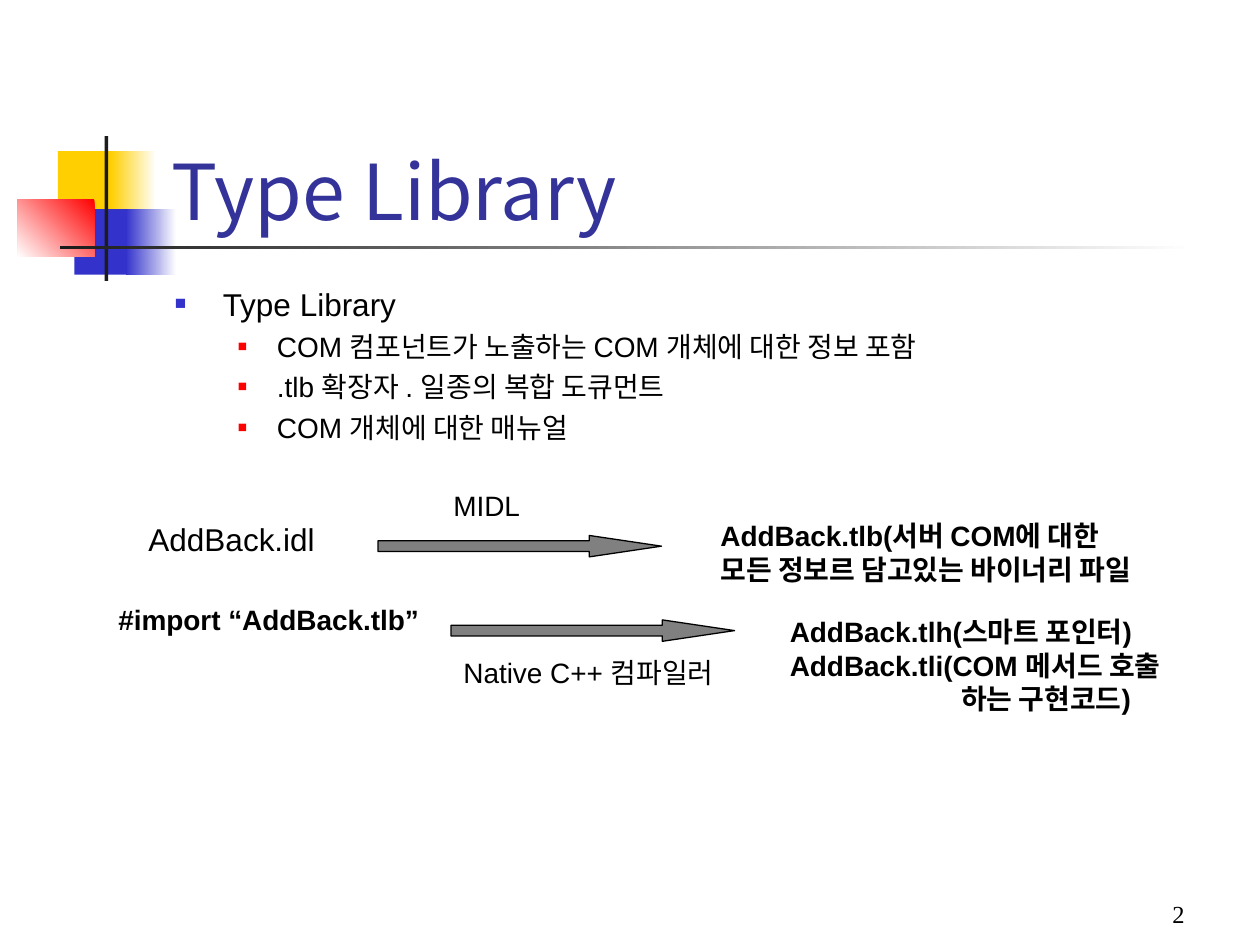
from lxml.etree import SubElement
from pptx import Presentation
from pptx.dml.color import RGBColor
from pptx.enum.shapes import MSO_SHAPE as Shape
from pptx.enum.text import MSO_ANCHOR as Anchor, MSO_AUTO_SIZE as AutoSize, PP_ALIGN as Align
from pptx.oxml.ns import qn
from pptx.util import Inches, Pt

COLORS = {
    "white": "FFFFFF", "yellow": "FFCF01", "blue": "3333CC", "red": "FF0000",
    "dark": "1C1C1C", "title": "333399", "black": "000000", "gray": "808080",
}
HANGUL = "Noto Sans CJK KR"

# Content: decoration as (box, start colour, end colour, clockwise angle)
DECORATION = [
    ((0.46, 1.2, 0.48, 0.52), "yellow", None, 0),
    ((0.88, 1.2, 0.36, 0.52), "white", "yellow", 180),
    ((0.59, 1.66, 0.46, 0.52), "blue", None, 0),
    ((1, 1.66, 0.4, 0.52), "white", "blue", 180),
    ((0.14, 1.58, 0.61, 0.46), "red", "white", 135),
    ((0.83, 1.08, 0.03, 1.15), "dark", None, 0),
    ((0.48, 1.95, 9, 0.03), "white", "dark", 180),
]
TITLE = ("Type Library", (1.26, 0.67, 8.52, 1.25))
BULLET_BOX = (1.29, 2.21, 7.46, 1.54)
BULLETS = [
    (0, "Type Library"),
    (1, "COM 컴포넌트가 노출하는 COM 개체에 대한 정보 포함"),
    (1, ".tlb 확장자 . 일종의 복합 도큐먼트"),
    (1, "COM 개체에 대한 매뉴얼"),
]
LEVELS = [
    {"left": 0.38, "hang": 0.38, "size": 18, "before": 0, "color": "blue", "percent": 60},
    {"left": 0.81, "hang": 0.31, "size": 16, "before": 4, "color": "red", "percent": 55},
]
# Labels as (box, lines, font format, wraps)
LABELS = [
    ((1.08, 4.08, 1.52, 0.4), ["AddBack.idl"], {"size": 18}, False),
    ((3.5, 3.83, 0.73, 0.37), ["MIDL"], {}, False),
    ((5.62, 4.07, 3.5, 0.64),
     ["AddBack.tlb(서버 COM에 대한", "모든 정보르 담고있는 바이너리 파일"], {"bold": True}, False),
    ((0.84, 4.73, 2.59, 0.37), ["#import “AddBack.tlb”"], {"bold": True}, False),
    ((3.58, 5.15, 2.27, 0.37), ["Native C++ 컴파일러"], {}, False),
    ((6.17, 4.83, 3.58, 0.9),
     ["AddBack.tlh(스마트 포인터)", "AddBack.tli(COM 메서드 호출", "하는 구현코드)"],
     {"bold": True}, True),
]
CONTINUATION_INDENT = 1.36
ARROWS = [(3, 4.25), (3.58, 4.92)]
ARROW_SIZE = (2.25, 0.17)
PAGE_NUMBER = ("2", (7.42, 6.92, 2.08, 0.5))


def rgb(name):
    return RGBColor.from_string(COLORS[name])


def inches(values):
    return [Inches(value) for value in values]


def write(paragraph, text, color="black", **font_format):
    run = paragraph.add_run()
    run.text = text
    for name, value in {"name": "Arial", "size": 16, **font_format}.items():
        setattr(run.font, name, Pt(value) if name == "size" else value)
    run.font.color.rgb = rgb(color)
    SubElement(run._r.get_or_add_rPr(), qn("a:ea"), typeface=HANGUL)


def set_indent(paragraph, left, first=0):
    properties = paragraph._p.get_or_add_pPr()
    properties.set("marL", str(Inches(left)))
    properties.set("indent", str(Inches(first)))
    return properties


def add_bullet(paragraph, level):
    properties = set_indent(paragraph, level["left"], -level["hang"])
    color = SubElement(properties, qn("a:buClr"))
    SubElement(color, qn("a:srgbClr"), val=COLORS[level["color"]])
    SubElement(properties, qn("a:buSzPct"), val=str(level["percent"] * 1000))
    SubElement(properties, qn("a:buFont"), typeface="Arial")
    SubElement(properties, qn("a:buChar"), char="■")
    paragraph.space_before = Pt(level["before"])


def add_text(slide, box, count=1, wrap=True):
    frame = slide.shapes.add_textbox(*inches(box)).text_frame
    frame.word_wrap = wrap
    for _ in range(count - 1):
        frame.add_paragraph()
    return frame


def add_shape(slide, kind, box):
    shape = slide.shapes.add_shape(kind, *inches(box))
    shape.shadow.inherit = False
    return shape


presentation = Presentation()
presentation.slide_width, presentation.slide_height = Inches(10), Inches(7.5)
slide = presentation.slides.add_slide(presentation.slide_layouts[5])

# Corner decoration and title rule
for box, start, end, angle in DECORATION:
    shape = add_shape(slide, Shape.RECTANGLE, box)
    shape.line.fill.background()
    if end is None:
        shape.fill.solid()
        shape.fill.fore_color.rgb = rgb(start)
    else:
        shape.fill.gradient()
        shape.fill.gradient_angle = (360 - angle) % 360
        for stop, color, position in zip(shape.fill.gradient_stops, (start, end), (0, 1)):
            stop.color.rgb = rgb(color)
            stop.position = position

# Title
text, box = TITLE
title = slide.shapes.title
title.left, title.top, title.width, title.height = inches(box)
title.text_frame.vertical_anchor = Anchor.BOTTOM
title.text_frame.auto_size = AutoSize.NONE
paragraph = title.text_frame.paragraphs[0]
paragraph.alignment = Align.LEFT
write(paragraph, text, "title", name=HANGUL, size=44)

# Bulleted list
frame = add_text(slide, BULLET_BOX, len(BULLETS))
for paragraph, (depth, text) in zip(frame.paragraphs, BULLETS):
    paragraph.level = depth
    add_bullet(paragraph, LEVELS[depth])
    write(paragraph, text, size=LEVELS[depth]["size"])

# Compile flow: labels and arrows
for box, lines, font_format, wrap in LABELS:
    frame = add_text(slide, box, len(lines), wrap)
    for paragraph, line in zip(frame.paragraphs, lines):
        write(paragraph, line, **font_format)
    if len(lines) == 3:
        set_indent(frame.paragraphs[-1], CONTINUATION_INDENT)

for position in ARROWS:
    arrow = add_shape(slide, Shape.RIGHT_ARROW, position + ARROW_SIZE)
    arrow.adjustments[0], arrow.adjustments[1] = 0.5, 3.37
    arrow.fill.solid()
    arrow.fill.fore_color.rgb = rgb("gray")
    arrow.line.color.rgb = rgb("black")
    arrow.line.width = Pt(0.75)

# Page number
text, box = PAGE_NUMBER
frame = add_text(slide, box)
frame.vertical_anchor = Anchor.BOTTOM
frame.paragraphs[0].alignment = Align.RIGHT
write(frame.paragraphs[0], text, name="Times New Roman", size=14)

presentation.save("out.pptx")
